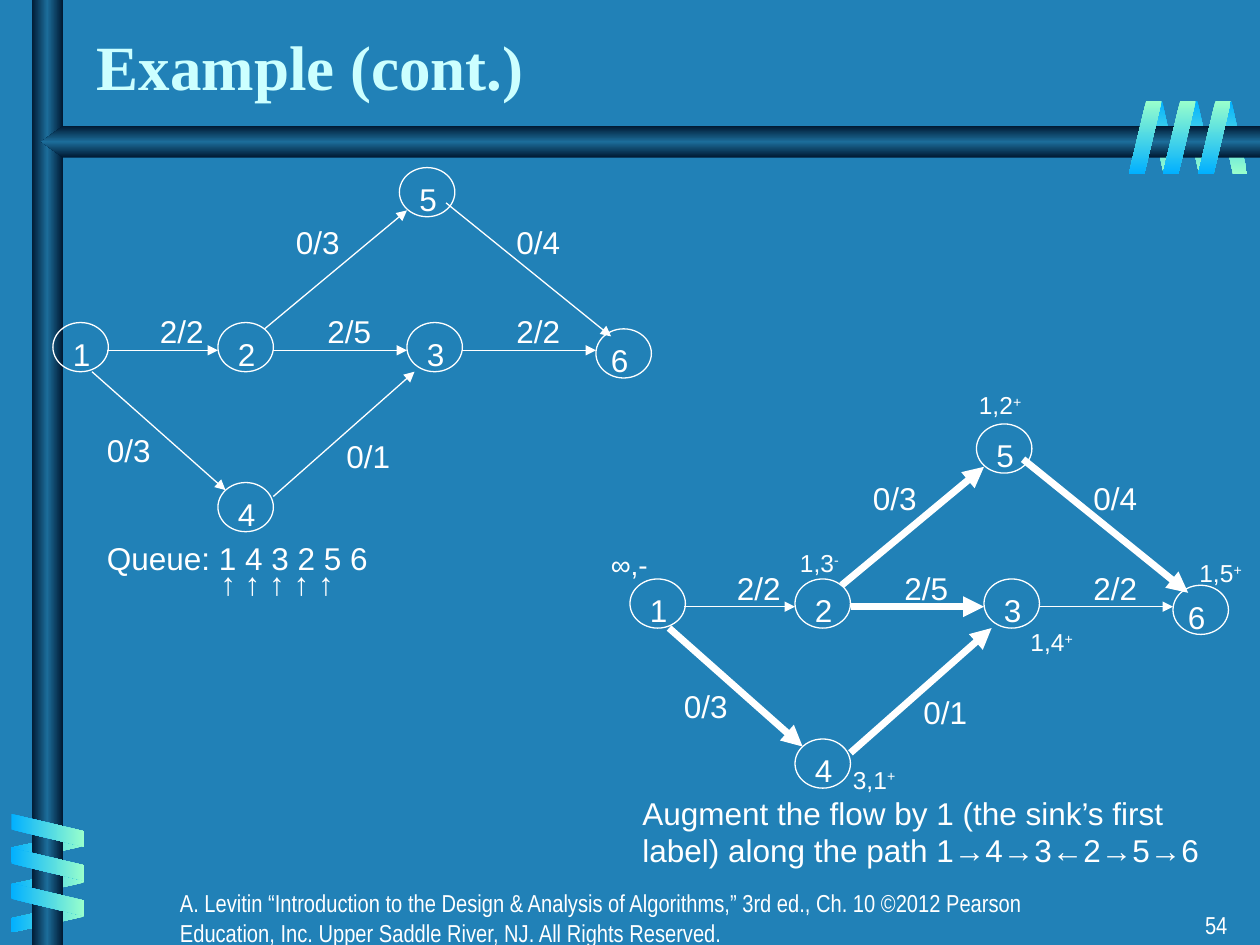
import pptx
import pptx.dml.color
import pptx.enum.shapes
import pptx.enum.text
import pptx.oxml
import pptx.oxml.ns
import pptx.util

SHAPE = pptx.enum.shapes.MSO_SHAPE
ALIGN = pptx.enum.text.PP_ALIGN
COLS, ROWS = 100, 75  # grid over a 10 x 7.5 inch slide
WHITE, TITLE, BLUE, MINT = "FFFFFF", "CCFFFF", "01B0FF", "99FFCC"
BAR = ["001932", "1C6D9A", "001932"]


def color(value):
    return pptx.dml.color.RGBColor.from_string(value)


class Deck:
    def __init__(self, background):
        self.prs = pptx.Presentation()
        self.prs.slide_width = pptx.util.Inches(10)
        self.prs.slide_height = pptx.util.Inches(7.5)
        self.s = self.prs.slides.add_slide(self.prs.slide_layouts[6])
        fill = self.s.background.fill
        fill.solid()
        fill.fore_color.rgb = color(background)

    def x(self, cols):
        return round(self.prs.slide_width * cols / COLS)

    def y(self, rows):
        return round(self.prs.slide_height * rows / ROWS)

    def place(self, left, top, width, height):
        return self.x(left), self.y(top), self.x(width), self.y(height)

    def gradient(self, kind, box, colors, angle, adjust=None, rotation=0, flip=False):
        sp = self.s.shapes.add_shape(kind, *self.place(*box))
        sp.shadow.inherit = False
        sp.line.fill.background()
        sp.rotation = rotation
        if adjust is not None:
            sp.adjustments[0] = adjust
        if flip:
            sp._element.spPr.xfrm.set("flipH", "1")
        stops = "".join(
            f'<a:gs pos="{round(100000 * i / (len(colors) - 1))}"><a:srgbClr val="{c}"/></a:gs>'
            for i, c in enumerate(colors))
        fill = pptx.oxml.parse_xml(
            f'<a:gradFill {pptx.oxml.ns.nsdecls("a")} rotWithShape="0"><a:gsLst>{stops}</a:gsLst>'
            f'<a:lin ang="{angle * 60000}" scaled="0"/></a:gradFill>')
        sp._element.spPr.find(pptx.oxml.ns.qn("a:prstGeom")).addnext(fill)

    def ellipse(self, left, top, width, height):
        sp = self.s.shapes.add_shape(SHAPE.OVAL, *self.place(left, top, width, height))
        sp.shadow.inherit = False
        sp.fill.background()
        sp.line.color.rgb = color(WHITE)
        sp.line.width = pptx.util.Pt(0.75)

    def arrow(self, x1, y1, x2, y2, weight):
        line = self.s.shapes.add_connector(
            pptx.enum.shapes.MSO_CONNECTOR.STRAIGHT,
            self.x(x1), self.y(y1), self.x(x2), self.y(y2))
        line.line.color.rgb = color(WHITE)
        line.line.width = pptx.util.Pt(weight)
        ln = line.line._get_or_add_ln()
        ln.append(pptx.oxml.parse_xml(
            f'<a:tailEnd {pptx.oxml.ns.nsdecls("a")} type="triangle"/>'))
        ln.addnext(pptx.oxml.parse_xml(f'<a:effectLst {pptx.oxml.ns.nsdecls("a")}/>'))

    def text(self, box, words, size=18, font="Arial", ink=WHITE, bold=False,
             align=ALIGN.LEFT, wrap=True, raised=""):
        tf = self.s.shapes.add_textbox(*self.place(*box)).text_frame
        tf.word_wrap = wrap
        for i, line in enumerate(words.split("\n")):
            p = tf.paragraphs[0] if i == 0 else tf.add_paragraph()
            p.alignment = align
            p.add_run().text = line
            p.font.size = pptx.util.Pt(size)
            p.font.name = font
            p.font.bold = bold
            p.font.color.rgb = color(ink)
        if raised:
            r = p.add_run()
            r.text = raised
            r.font._element.set("baseline", "30000")
        return tf


# Node centres' boxes, edges and flow labels, measured within one network
NODES = {"1": (4.2, 25.6), "2": (17.3, 25.6), "3": (32.3, 25.6),
         "4": (17.3, 38.3), "5": (31.7, 13.3), "6": (47.3, 26.1)}
EDGES = {"1-4": (7.3, 29.5, 17.9, 38.9), "1-2": (8.5, 27.8, 17.3, 27.8),
         "2-5": (21, 26.1, 32.3, 16.7), "2-3": (21.7, 27.8, 32.3, 27.8),
         "4-3": (21.7, 39.4, 32.9, 29.5), "3-6": (36.7, 27.8, 47.3, 27.8),
         "5-6": (35.4, 16.1, 48.5, 26.7)}
FLOWS = [("2/2", 11.7, 24.3), ("2/5", 25, 24.3), ("2/2", 40, 24.3), ("0/3", 7.5, 33.7),
         ("0/1", 26.5, 34.2), ("0/3", 22.5, 17.2), ("0/4", 40, 17.2)]


def draw_network(deck, dx, dy, bold_edges=()):
    for left, top in NODES.values():
        deck.ellipse(left + dx, top + dy, 4.4, 3.9)
    for edge, (x1, y1, x2, y2) in EDGES.items():
        weight = 4 if edge in bold_edges else 0.75
        deck.arrow(x1 + dx, y1 + dy, x2 + dx, y2 + dy, weight)
    for name, (left, top) in NODES.items():
        inset = 0.2 if name == "6" else 0.6
        deck.text((left + inset + dx, top + 0.5 + dy, 3.4, 4), name, wrap=False)
    for flow, left, top in FLOWS:
        deck.text((left + dx, top + dy, 5.5, 4), flow, wrap=False)


def main():
    deck = Deck("2181B7")

    # Ribbons behind the bars
    for left in (96.6, 93.9, 91.1):
        deck.gradient(SHAPE.PARALLELOGRAM, (left, 8, 2.4, 5.8), [BLUE, MINT], 90, 0.53, flip=True)
    for top in (64.3, 67.2, 69.9):
        deck.gradient(SHAPE.PARALLELOGRAM, (2.6, top, 2.4, 5.8), [MINT, BLUE], 0, 0.53, 90, True)

    # Bars
    deck.gradient(SHAPE.RECTANGLE, (2.5, 0, 2.5, 75), BAR, 0)
    deck.gradient(SHAPE.PENTAGON, (3.3, 10, 96.7, 2.5), BAR, 90, 0.68, flip=True)

    # Ribbons in front of the bars
    for top in (63, 65.7, 68.5):
        deck.gradient(SHAPE.PARALLELOGRAM, (2.5, top, 2.6, 5.8), [BLUE, MINT], 0, 0.53, 270)
    for left in (95.1, 92.3, 89.6):
        deck.gradient(SHAPE.PARALLELOGRAM, (left, 8, 2.6, 5.8), [MINT, BLUE], 90, 0.53)

    # Footer and page number
    deck.text((13.3, 70, 70, 3.3),
              "A. Levitin “Introduction to the Design & Analysis of Algorithms,” 3rd ed., Ch. 10 "
              "©2012 Pearson Education, Inc. Upper Saddle River, NJ. All Rights Reserved.",
              14, "Arial Narrow")
    deck.text((77.6, 71.7, 20.8, 3.3), "54", 14, "Arial Narrow", align=ALIGN.RIGHT)

    # Flow networks before and after labelling
    draw_network(deck, 0, 0)
    draw_network(deck, 45.8, 20.35, ("1-4", "2-5", "2-3", "4-3", "5-6"))

    # Vertex labels
    deck.text((47.5, 43, 5, 3.7), "∞,-", 16)
    for label, sign, left, top in [("1,3", "-", 62.5, 43), ("1,2", "+", 76.7, 30.5),
                                   ("1,5", "+", 94.2, 43.8), ("1,4", "+", 80.8, 49.3),
                                   ("3,1", "+", 66.7, 60.2)]:
        deck.text((left, top, 5.8, 3.3), label, 14, raised=sign)

    # Augmenting step
    deck.text((50, 62.5, 46.7, 7),
              "Augment the flow by 1 (the sink’s first label) along the path 1→4→3←2→5→6")

    # Queue with its marks on a tight second line
    tf = deck.text((7.5, 44.2, 24.2, 4), "Queue: 1 4 3 2 5 6\n↑ ↑ ↑ ↑ ↑")
    for p in tf.paragraphs:
        p.line_spacing = 0.25
    marks = tf.paragraphs[1]
    marks.space_before = pptx.util.Pt(9)
    marks._p.get_or_add_pPr().set("marL", str(deck.x(9)))

    # Title
    deck.text((6.7, 1.7, 49.2, 7), "Example (cont.)", 36, "Times New Roman", TITLE, True)

    deck.prs.save("out.pptx")


if __name__ == "__main__":
    main()
